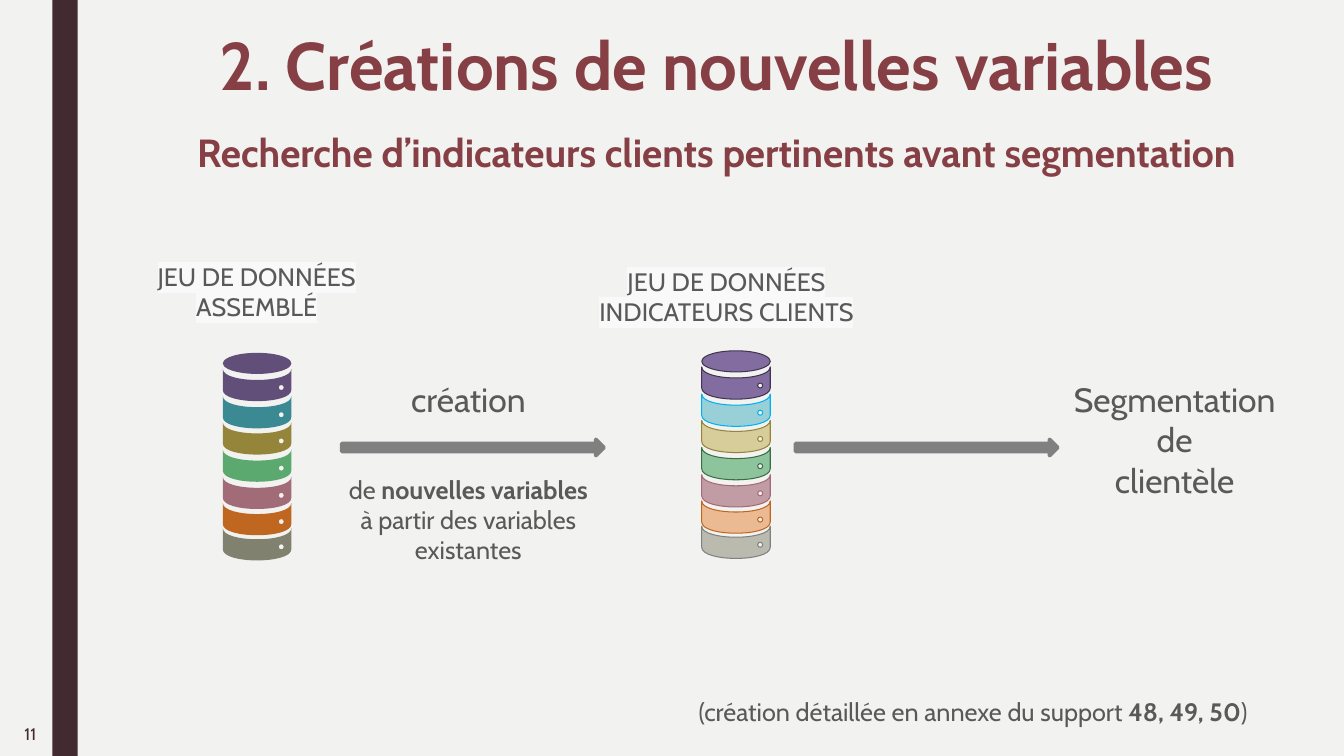
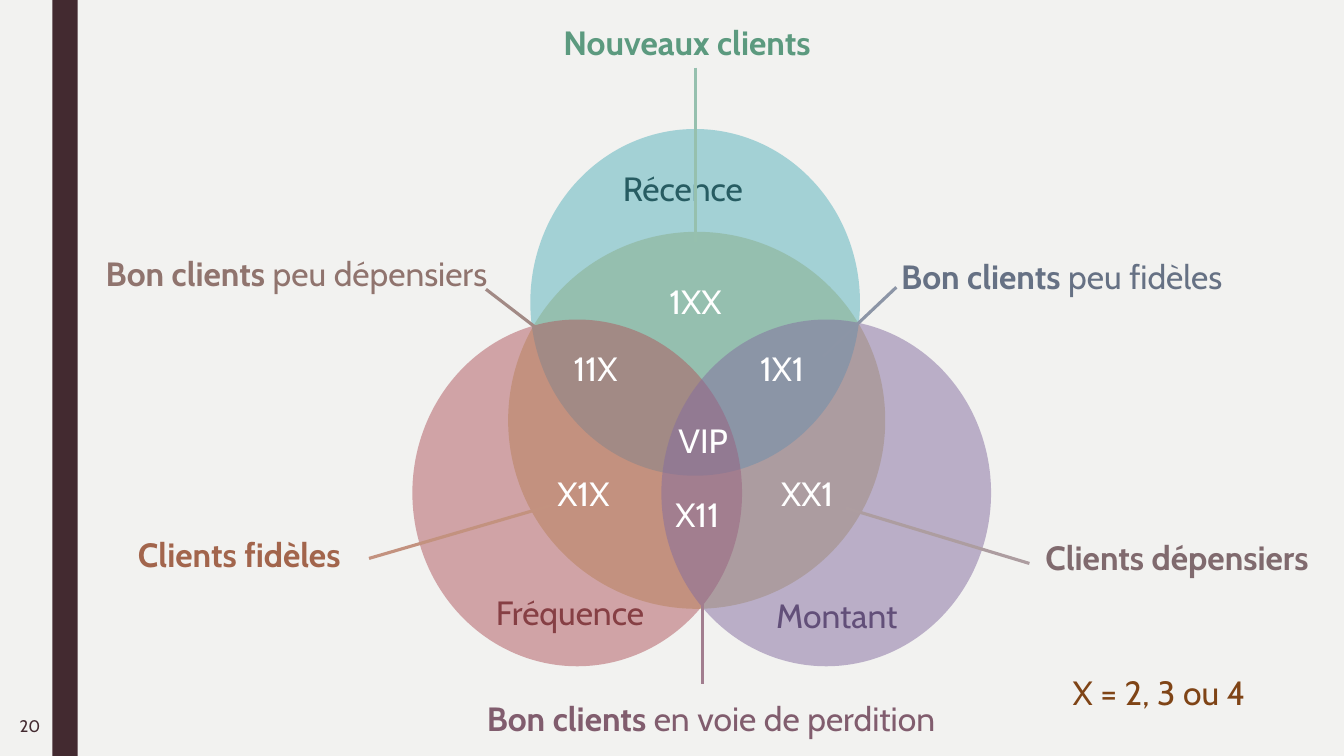
from lxml import etree
from pptx import Presentation
from pptx.dml.color import RGBColor
from pptx.enum.shapes import MSO_CONNECTOR, MSO_SHAPE
from pptx.enum.text import MSO_ANCHOR, PP_ALIGN
from pptx.oxml.ns import qn
from pptx.util import Pt

PX = 9144  # EMU in one px (100 px to the inch)
FONT = "Cabin"
LEFT, CENTER, RIGHT = PP_ALIGN.LEFT, PP_ALIGN.CENTER, PP_ALIGN.RIGHT
TOP, MIDDLE = MSO_ANCHOR.TOP, MSO_ANCHOR.MIDDLE
RECTANGLE, ELLIPSE = MSO_SHAPE.RECTANGLE, MSO_SHAPE.OVAL
RIGHT_ARROW = MSO_SHAPE.RIGHT_ARROW
STRAIGHT = MSO_CONNECTOR.STRAIGHT

COLORS = {
    "paper": "F2F2F0",
    "band": "432A30",
    "title": "863F44",
    "text": "595959",
    "highlight": "F9F9F9",
    "arrow": "808080",
    "white": "FFFFFF",
    "recency": "55B1BC",
    "recency_text": "275C62",
    "frequency": "B0565D",
    "amount": "836C9F",
    "amount_text": "624F79",
    "core": "BDAB56",
    "legend": "7F4416",
}

# Layers of each database from top to bottom: fill, outline
ASSEMBLED = [(fill, None) for fill in (
    "624F79", "3A8993", "94853A", "5BA96F", "A26B78", "BF6621", "818170")]
INDICATORS = [
    ("836C9F", "413551"),
    ("99D0D7", "00B0F0"),
    ("D7CD9A", "94853A"),
    ("8EC49C", "3A6E47"),
    ("C19CA5", "A26B78"),
    ("ECBA92", "BF6621"),
    ("BABAAF", "808080"),
]
LAYER_TOPS = (16, 43, 69, 96, 123, 149, 174)

# Callouts: spans, text colour, text place, line colour, line ends
CALLOUTS = [
    ([("Bon clients ", True), ("en voie de perdition", False)],
     "815D6E", (396, 687), "A27E8F", (620, 541, 620, 679)),
    ([("Bon clients ", True), ("peu dépensiers", False)],
     "90746E", (18, 246), "A28A85", (405, 287, 487, 350)),
    ([("Bon clients ", True), ("peu fidèles", False)],
     "667184", (807, 249), "8C95A6", (812, 285, 739, 354)),
    ([("Clients fidèles", True)],
     "A2654C", (50, 525), "C3927F", (471, 501, 289, 554)),
    ([("Nouveaux clients", True)],
     "5C9A7F", (472, 17), "96C0AE", (613, 67, 613, 240)),
    ([("Clients dépensiers", True)],
     "806A6E", (950, 528), "AD9DA0", (944, 559, 762, 504)),
]


def rgb(color):
    return RGBColor.from_string(COLORS.get(color, color))


def paint(shape, fill, line=None, width=0.75, alpha=None):
    """Give a shape its fill and outline, without a shadow."""
    shape.shadow.inherit = False
    shape.fill.solid()
    shape.fill.fore_color.rgb = rgb(fill)
    if alpha is not None:
        color = shape._element.spPr.find(qn("a:solidFill"))[0]
        etree.SubElement(color, qn("a:alpha")).set("val", str(alpha * 1000))
    if line:
        shape.line.color.rgb = rgb(line)
        shape.line.width = Pt(width)
    else:
        shape.line.fill.background()


def add_shape(shapes, kind, box, fill, **style):
    shape = shapes.add_shape(kind, *(length * PX for length in box))
    paint(shape, fill, **style)
    return shape


def add_line(page, ends, color):
    line = page.shapes.add_connector(STRAIGHT, *(end * PX for end in ends))
    line.line.color.rgb = rgb(color)
    line.line.width = Pt(2.25)
    etree.SubElement(line._element.spPr, qn("a:effectLst"))


def highlight(span):
    mark = etree.Element(qn("a:highlight"))
    etree.SubElement(mark, qn("a:srgbClr")).set("val", COLORS["highlight"])
    span._r.rPr.find(qn("a:solidFill")).addnext(mark)


def add_text(page, box, paras, size, color="text", align=LEFT, anchor=TOP,
             marked=False):
    """Add a text box; each paragraph is a string or a list of (text, bold)."""
    shape = page.shapes.add_textbox(*(length * PX for length in box))
    frame = shape.text_frame
    frame.word_wrap = True
    frame.vertical_anchor = anchor
    for index, spans in enumerate(paras):
        para = frame.add_paragraph() if index else frame.paragraphs[0]
        para.alignment = align
        if isinstance(spans, str):
            spans = [(spans, False)]
        for text, bold in spans:
            span = para.add_run()
            span.text = text
            span.font.name = FONT
            span.font.size = Pt(size)
            span.font.bold = bold
            span.font.color.rgb = rgb(color)
            if marked:
                highlight(span)
    return frame


def add_page(deck, number, number_box):
    """Add a page with the shared background, side band and number."""
    page = deck.slides.add_slide(deck.slide_layouts[6])
    page.background.fill.solid()
    page.background.fill.fore_color.rgb = rgb("paper")
    add_shape(page.shapes, RECTANGLE, (52, 0, 25, 750), "band")
    add_text(page, number_box, [number], 12, "band", RIGHT, MIDDLE)
    return page


def half_ellipse(start, end, y, depth):
    """Two control points and the end point of a curve of the given depth."""
    control = y + depth * 4 / 3
    return [(start, control), (end, control), (end, y)]


def bend(shape, starts):
    """Turn three line segments into one curve at each start index."""
    lines = list(shape._element.iter(qn("a:lnTo")))
    for start in starts:
        curve = etree.Element(qn("a:cubicBezTo"))
        lines[start].addprevious(curve)
        for line in lines[start:start + 3]:
            curve.append(line[0])
            line.getparent().remove(line)


def add_layer(shapes, left, top, fill, line):
    """Curved layer, 68 px wide, with a round hole at its right."""
    right, bottom = left + 68, top + 21
    outline = [(left, top), *half_ellipse(left, right, top, 11),
               (right, bottom), *half_ellipse(right, left, bottom, 11)]
    start, end, middle = left + 55.5, left + 60.5, top + 18.5
    hole = [(start, middle), *half_ellipse(start, end, middle, 2.5),
            *half_ellipse(end, start, middle, -2.5)]
    builder = shapes.build_freeform(*outline[0], scale=PX)
    builder = shapes.build_freeform(left * PX, top * PX, scale=1.0)
    for index, points in enumerate((outline, hole)):
        points = [(x * PX, y * PX) for x, y in points]
        if index:
            builder.move_to(*points[0])
        builder.add_line_segments(points[1:])
    shape = builder.convert_to_shape()
    bend(shape, (0, 4, 7, 10))
    paint(shape, fill, line)


def draw_database(page, left, top, layers):
    """Stack of curved layers under an elliptic lid."""
    shapes = page.shapes.add_group_shape().shapes
    fill, line = layers[0]
    add_shape(shapes, ELLIPSE, (left, top, 68, 21), fill, line=line)
    for (fill, line), offset in zip(layers, LAYER_TOPS):
        add_layer(shapes, left, top + offset, fill, line)


def draw_flow(page, left, top):
    """From the assembled data to the indicators, then to segmentation."""
    # Source data
    add_text(page, (left, top, 289, 71), ["JEU DE DONNÉES ASSEMBLÉ"], 18,
             align=CENTER, marked=True)
    draw_database(page, left + 111, top + 96, ASSEMBLED)

    # Creation step
    frame = add_text(
        page, (left + 219, top + 117, 271, 195),
        ["création",
         [("de ", False), ("nouvelles variables", True),
          (" à partir des variables existantes", False)]],
        18, align=CENTER)
    heading, detail = frame.paragraphs
    heading.runs[0].font.size = Pt(24)
    detail.space_before = Pt(39)

    # Client indicators
    add_text(page, (left + 466, top + 5, 289, 71),
             ["JEU DE DONNÉES", "INDICATEURS CLIENTS"], 18,
             align=CENTER, marked=True)
    draw_database(page, left + 586, top + 94, INDICATORS)

    # Arrows and result
    for offset in (229, 679):
        add_shape(page.shapes, RIGHT_ARROW,
                  (left + offset, top + 182, 260, 16),
                  "arrow", line="arrow", width=2.75)
    add_text(page, (left + 939, top + 117, 232, 131),
             ["Segmentation", "de", "clientèle"], 24, align=CENTER)


def draw_venn(page, left, top):
    """Three overlapping circles around a shared core."""
    circles = [
        ("core", 95, 102, 374, 374),
        ("recency", 117, 0, 327, 344),
        ("frequency", 0, 189, 327, 344),
        ("amount", 247, 189, 327, 344),
    ]
    for fill, x, y, width, height in circles:
        add_shape(page.shapes, ELLIPSE, (left + x, top + y, width, height),
                  fill, alpha=50)
    labels = [
        ("Montant", "amount_text", 351, 457),
        ("Fréquence", "title", 73, 454),
        ("Récence", "recency_text", 199, 34),
        ("VIP", "white", 254, 284),
        ("11X", "white", 150, 212),
        ("1X1", "white", 335, 212),
        ("X11", "white", 251, 357),
        ("X1X", "white", 134, 336),
        ("XX1", "white", 356, 336),
        ("1XX", "white", 245, 146),
    ]
    for text, color, x, y in labels:
        add_text(page, (left + x, top + y, 177, 50), [text], 24, color)


def draw_callouts(page, left, top):
    """Segment names around the circles, each with its line."""
    for spans, color, (x, y), line_color, (x1, y1, x2, y2) in CALLOUTS:
        width = min(551, 1333 - left - x)
        add_text(page, (left + x, top + y, width, 50), [spans], 24, color)
        add_line(page, (left + x1, top + y1, left + x2, top + y2), line_color)
    add_text(page, (left + 977, top + 662, 243, 50), ["X = 2, 3 ou 4"], 24,
             "legend")


def build_variables_page(deck):
    page = add_page(deck, "11", (0, 706, 46, 44))
    add_text(page, (192, 18, 1037, 91),
             [[("2. Créations de nouvelles variables", True)]],
             48, "title", CENTER)
    add_text(page, (132, 122, 1157, 57),
             [[("Recherche d’indicateurs clients pertinents avant segmentation",
                True)]],
             28, "title", CENTER)
    draw_flow(page, 110, 254)
    add_text(page, (629, 686, 672, 40),
             [[("(création détaillée en annexe du support ", False),
               ("48, 49, 50", True), (")", False)]],
             18, align=CENTER)


def build_segments_page(deck):
    page = add_page(deck, "20", (0, 698, 50, 44))
    draw_venn(page, 409, 128)
    draw_callouts(page, 77, 0)


def main():
    deck = Presentation()
    deck.slide_width, deck.slide_height = 1333 * PX, 750 * PX
    build_variables_page(deck)
    build_segments_page(deck)
    deck.save("out.pptx")


if __name__ == "__main__":
    main()
